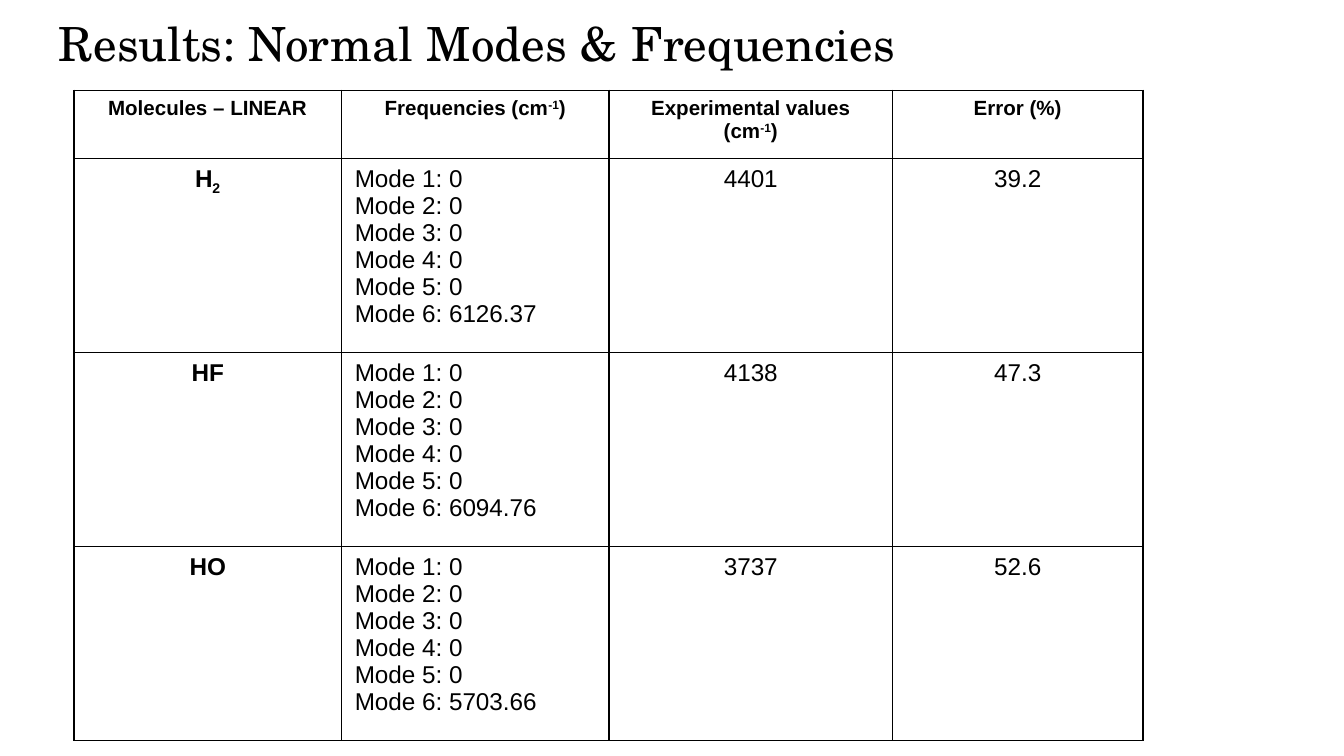
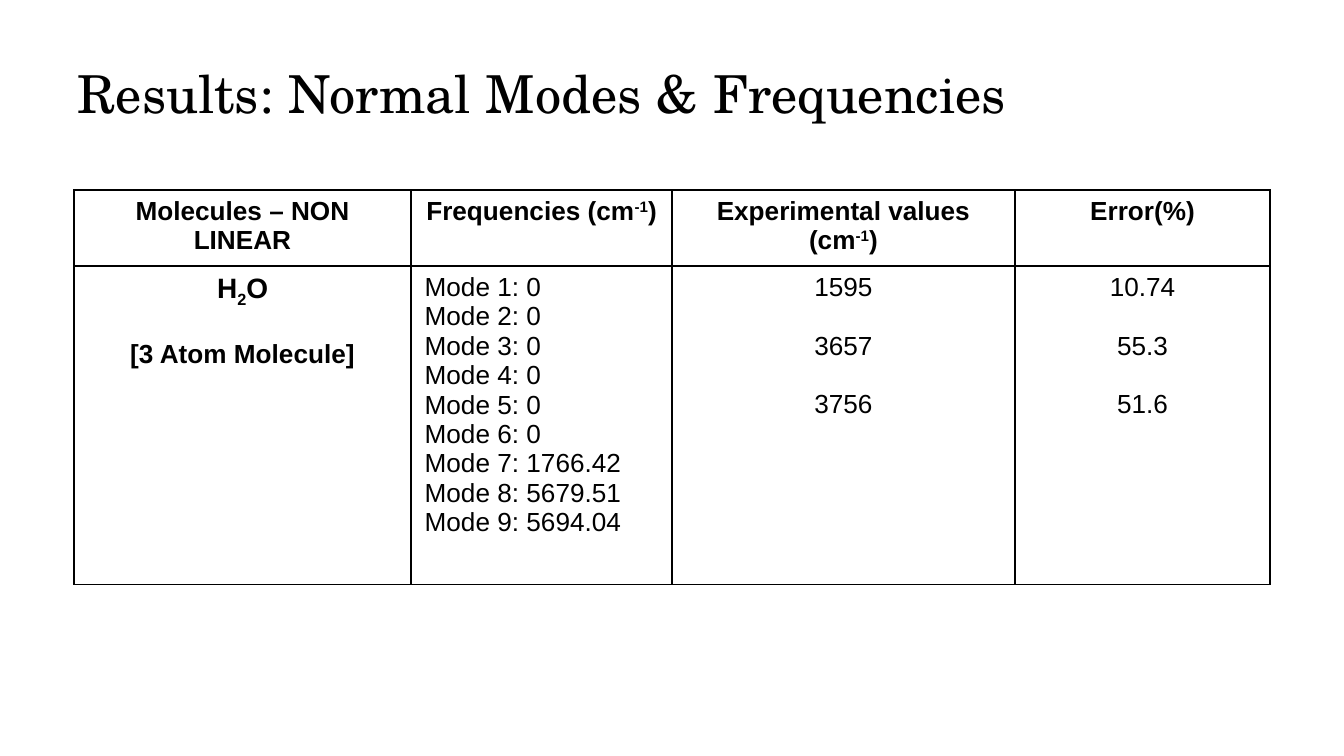
"""Build two slides of normal-mode frequencies for linear and non-linear molecules."""
import lxml.etree
import pptx
import pptx.dml.color
import pptx.enum.text
import pptx.oxml.ns
import pptx.util

Pt = pptx.util.Pt
ALIGN = pptx.enum.text.PP_ALIGN
INK = pptx.dml.color.RGBColor(0, 0, 0)
TITLE_FONT = "TeX Gyre Schola"
BODY_FONT = "Arial"
TITLE = "Results: Normal Modes & Frequencies"
BASELINES = {"^": "30000", "_": "-25000"}
TITLE_INSET = 7.2
CELL_INSET = 5
BORDER_WIDTH = 1
TABLE_LEFT = 39.6


def write_text(frame, lines, font=BODY_FONT, size=13, lead_size=None, bold=False,
               align=ALIGN.CENTER, gap=0, inset=CELL_INSET):
    """Write lines into a frame; ^x^ is superscript and _x_ is subscript."""
    frame.word_wrap = True
    frame.margin_left = frame.margin_right = Pt(inset)
    frame.margin_top = frame.margin_bottom = Pt(inset)
    for index, line in enumerate(lines):
        para = frame.add_paragraph() if index else frame.paragraphs[0]
        para.alignment = align
        if index and gap:
            para.space_before = Pt(gap)
        mark = "_" if "_" in line else "^"
        for position, piece in enumerate(line.split(mark)):
            if not piece:
                continue
            span = para.add_run()
            span.text = piece
            span.font.name = font
            span.font.size = Pt(size if index else lead_size or size)
            span.font.bold = bold
            span.font.color.rgb = INK
            if position % 2:
                span.font._element.set("baseline", BASELINES[mark])


def add_title(page, box, size):
    """Place the shared title in the given box."""
    shape = page.shapes.add_textbox(*map(Pt, box))
    write_text(shape.text_frame, [TITLE], font=TITLE_FONT, size=size,
               align=ALIGN.LEFT, inset=TITLE_INSET)
    shape.text_frame.vertical_anchor = pptx.enum.text.MSO_ANCHOR.MIDDLE


def outline_cell(cell):
    """Draw a thin line on all four sides of a cell without fill."""
    cell.fill.background()
    properties = cell._tc.get_or_add_tcPr()
    qn = pptx.oxml.ns.qn
    for index, side in enumerate(("a:lnL", "a:lnR", "a:lnT", "a:lnB")):
        line = lxml.etree.Element(qn(side), w=str(Pt(BORDER_WIDTH)))
        fill = lxml.etree.SubElement(line, qn("a:solidFill"))
        lxml.etree.SubElement(fill, qn("a:srgbClr"), val=str(INK))
        properties.insert(index, line)


def add_results(page, top, widths, heights, headers, molecules, header_size,
                size, lead_size=None, name_gap=0, value_gap=0):
    """Place a table with one row for each molecule."""
    frame = page.shapes.add_table(
        len(heights), len(widths), Pt(TABLE_LEFT), Pt(top), Pt(sum(widths)), Pt(sum(heights)))
    table = frame.table
    table.first_row = table.horz_banding = False
    for column, width in zip(table.columns, widths):
        column.width = Pt(width)
    for row, height in zip(table.rows, heights):
        row.height = Pt(height)
    for cell in table.iter_cells():
        outline_cell(cell)
    for column, header in enumerate(headers):
        write_text(table.cell(0, column).text_frame, [header], size=header_size, bold=True)
    for row, (names, frequencies, measured, errors) in enumerate(molecules, 1):
        modes = [f"Mode {number}: {value}" for number, value in enumerate(frequencies, 1)]
        write_text(table.cell(row, 0).text_frame, names, size=size,
                   lead_size=lead_size, bold=True, gap=name_gap)
        write_text(table.cell(row, 1).text_frame, modes, size=size, align=ALIGN.LEFT)
        for column, values in ((2, measured), (3, errors)):
            write_text(table.cell(row, column).text_frame, values, size=size, gap=value_gap)


def build_linear(page):
    """Build the slide on linear molecules."""
    add_title(page, (24.5, 0, 671, 45.4), 25.2)
    zeros = ["0"] * 5
    add_results(
        page, 48.5, (143.3, 143.3, 152, 134), (36.5, 103.9, 103.9, 103.9),
        ("Molecules – LINEAR", "Frequencies (cm^-1^)",
         "Experimental values (cm^-1^)", "Error (%)"),
        ((["H_2_"], zeros + ["6126.37"], ["4401"], ["39.2"]),
         (["HF"], zeros + ["6094.76"], ["4138"], ["47.3"]),
         (["HO"], zeros + ["5703.66"], ["3737"], ["52.6"])),
        header_size=11, size=13)


def build_nonlinear(page):
    """Build the slide on the non-linear molecule."""
    add_title(page, (34.5, 24.5, 671, 49.7), 28)
    frequencies = ["0"] * 6 + ["1766.42", "5679.51", "5694.04"]
    add_results(
        page, 101.7, (180.7, 139.7, 183.8, 136.6), (38.2, 170.6),
        ("Molecules – NON LINEAR", "Frequencies (cm^-1^)",
         "Experimental values (cm^-1^)", "Error(%)"),
        ((["H_2_O", "[3 Atom Molecule]"], frequencies,
          ["1595", "3657", "3756"], ["10.74", "55.3", "51.6"]),),
        header_size=14, size=14, lead_size=15, name_gap=16.8, value_gap=15.6)


def main():
    """Create the deck and save it."""
    deck = pptx.Presentation()
    deck.slide_width, deck.slide_height = Pt(720), Pt(405)
    for build in (build_linear, build_nonlinear):
        build(deck.slides.add_slide(deck.slide_layouts[6]))
    deck.save("out.pptx")


if __name__ == "__main__":
    main()
